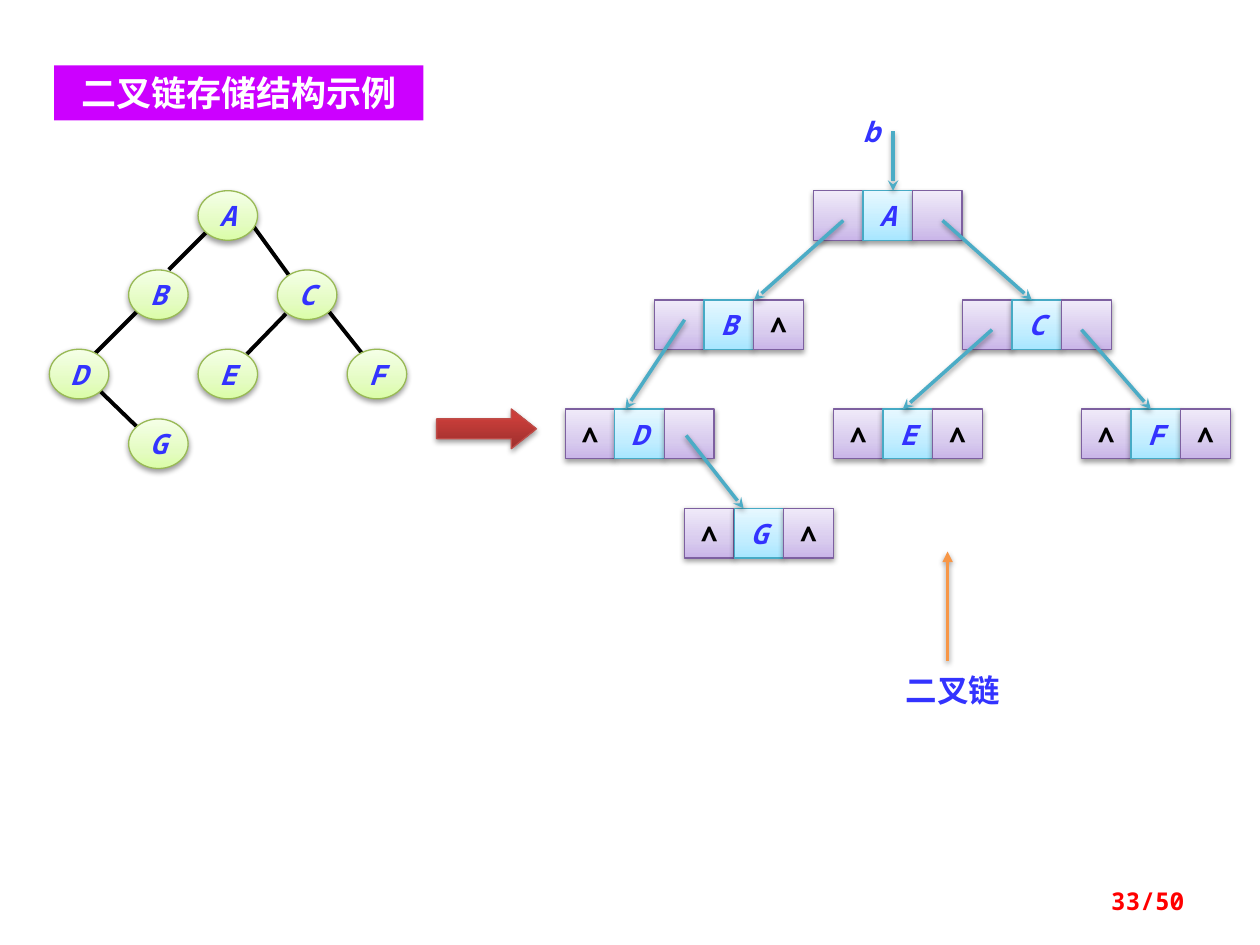
"""Build a slide showing a binary tree beside its linked storage structure."""
from dataclasses import dataclass

from pptx import Presentation
from pptx.dml.color import RGBColor
from pptx.enum.shapes import MSO_CONNECTOR, MSO_SHAPE
from pptx.enum.text import MSO_ANCHOR, PP_ALIGN
from pptx.oxml import parse_xml
from pptx.oxml.ns import nsdecls, qn
from pptx.util import Pt


@dataclass(frozen=True)
class Theme:
    mono: str = "Noto Sans Mono"
    chinese: str = "Noto Sans CJK SC"
    node_size: int = 16
    title_size: int = 20
    label_size: int = 18
    page_size: int = 14
    ink: str = "3333FF"
    black: str = "000000"
    white: str = "FFFFFF"
    red: str = "FF0000"
    title_fill: str = "CC00FF"
    link: str = "4BACC6"
    pointer: str = "F79646"
    green: tuple = ("98B955", (0, "DAFDA7"), (35, "E4FCC2"), (100, "F5FFE7"))
    purple: tuple = ("7D60A0", (0, "C9B5E8"), (35, "D8CBEE"), (100, "F0EAF9"))
    blue: tuple = ("46AAC5", (0, "A7E6FF"), (35, "C1EDFF"), (100, "E7F8FF"))
    brick: tuple = ("BF4C48", (0, "9C2F2D"), (80, "CB3E3A"), (100, "CE3B37"))


def decorate(shape, color, width, stops=(), arrow=None, shadow=True):
    """Give a shape or connector its outline, gradient, arrowhead and shadow."""
    shape.line.color.rgb = RGBColor.from_string(color)
    shape.line.width = Pt(width)
    properties = shape.element.spPr
    outline = properties.find(qn("a:ln"))
    if stops:
        marks = "".join(
            f'<a:gs pos="{position * 1000}"><a:srgbClr val="{stop}"/></a:gs>'
            for position, stop in stops
        )
        outline.addprevious(parse_xml(
            f'<a:gradFill {nsdecls("a")} rotWithShape="1"><a:gsLst>{marks}</a:gsLst>'
            '<a:lin ang="16200000" scaled="0"/></a:gradFill>'
        ))
    if arrow:
        outline.append(parse_xml(f'<a:tailEnd {nsdecls("a")} type="{arrow}"/>'))
    effect = (
        '<a:outerShdw blurRad="40000" dist="20000" dir="5400000" rotWithShape="0">'
        f'<a:srgbClr val="{Theme.black}"><a:alpha val="38000"/></a:srgbClr></a:outerShdw>'
    ) if shadow else ""
    properties.append(parse_xml(f'<a:effectLst {nsdecls("a")}>{effect}</a:effectLst>'))


def write(shape, text, size, color, font=Theme.mono, italic=False,
          align=PP_ALIGN.CENTER, wrap=True):
    """Put one bold line of text in a shape."""
    frame = shape.text_frame
    frame.word_wrap = wrap
    frame.vertical_anchor = MSO_ANCHOR.MIDDLE
    paragraph = frame.paragraphs[0]
    paragraph.text = text
    paragraph.alignment = align
    paragraph.font.name = font
    paragraph.font.size = Pt(size)
    paragraph.font.bold = True
    paragraph.font.italic = italic
    paragraph.font.color.rgb = RGBColor.from_string(color)


presentation = Presentation()
presentation.slide_width = Pt(720)
presentation.slide_height = Pt(540)
slide = presentation.slides.add_slide(presentation.slide_layouts[6])
shapes = slide.shapes

title = shapes.add_shape(MSO_SHAPE.RECTANGLE, Pt(31), Pt(37.3), Pt(211), Pt(31.5))
title.shadow.inherit = False
title.fill.solid()
title.fill.fore_color.rgb = RGBColor.from_string(Theme.title_fill)
title.line.fill.background()
write(title, "二叉链存储结构示例", Theme.title_size, Theme.white)

tree_edges = [
    (56.2, 222.5, 79.2, 244.8),
    (118.8, 131.8, 96.5, 154.1),
    (144, 128.2, 164.9, 157),
    (79.2, 177.1, 51.1, 205.2),
    (163.4, 179.3, 141.1, 202.3),
    (187.2, 177.1, 209.5, 205.2),
]
for edge in tree_edges:
    line = shapes.add_connector(MSO_CONNECTOR.STRAIGHT, *map(Pt, edge))
    decorate(line, Theme.black, 2.25, shadow=False)

cell = 28.35
tree_nodes = {
    "A": (113.2, 109), "B": (73.5, 154.3), "C": (158.5, 154.3), "D": (28.2, 199.6),
    "E": (113.2, 199.6), "F": (198.4, 199.6), "G": (73.5, 239.4),
}
for name, (left, top) in tree_nodes.items():
    node = shapes.add_shape(MSO_SHAPE.OVAL, Pt(left), Pt(top), Pt(34), Pt(cell))
    decorate(node, Theme.green[0], 0.75, Theme.green[1:])
    write(node, name, Theme.node_size, Theme.ink, italic=True, wrap=False)

block_arrow = shapes.add_shape(MSO_SHAPE.RIGHT_ARROW, Pt(249.5), Pt(233.7), Pt(57), Pt(22.7))
block_arrow.adjustments[1] = 0.63
decorate(block_arrow, Theme.brick[0], 0.75, Theme.brick[1:])

linked_nodes = [
    (464.8, 109, ("", "A", "")),
    (374, 171.4, ("", "B", "∧")),
    (323, 233.8, ("∧", "D", "")),
    (391.2, 290.5, ("∧", "G", "∧")),
    (550, 171.4, ("", "C", "")),
    (476.3, 233.8, ("∧", "E", "∧")),
    (618, 233.8, ("∧", "F", "∧")),
]
for left, top, fields in linked_nodes:
    for column, field in enumerate(fields):
        is_data = column == 1
        palette = Theme.blue if is_data else Theme.purple
        box = shapes.add_shape(MSO_SHAPE.RECTANGLE, Pt(left + column * cell), Pt(top),
                               Pt(cell), Pt(cell))
        decorate(box, palette[0], 0.75, palette[1:])
        if field:
            write(box, field, Theme.node_size, Theme.ink if is_data else Theme.black,
                  italic=is_data, wrap=False)

links = [
    (481.9, 126, 430.9, 171.4),
    (391.2, 182.7, 357.4, 233.8),
    (538.6, 126, 589.6, 171.4),
    (392.1, 248.8, 424.9, 290.5),
    (566.9, 188.4, 515.9, 233.8),
    (618, 188.4, 657.6, 233.8),
    (510.3, 74.9, 510.3, 109),
]
pointers = [(link, Theme.link, "stealth") for link in links]
pointers.append(((541.5, 377.5, 541.5, 315.2), Theme.pointer, "triangle"))
for ends, color, arrow in pointers:
    pointer = shapes.add_connector(MSO_CONNECTOR.STRAIGHT, *map(Pt, ends))
    decorate(pointer, color, 2, arrow=arrow)

root_label = shapes.add_textbox(Pt(472.3), Pt(62), Pt(51), Pt(26.6))
write(root_label, "b", Theme.node_size, Theme.ink, italic=True)
chain_label = shapes.add_textbox(Pt(492.5), Pt(379.5), Pt(108), Pt(29))
write(chain_label, "二叉链 ", Theme.label_size, Theme.ink, Theme.chinese)
page_number = shapes.add_textbox(Pt(516), Pt(500.5), Pt(168), Pt(28.8))
write(page_number, "33/50", Theme.page_size, Theme.red, align=PP_ALIGN.RIGHT)

presentation.save("out.pptx")
